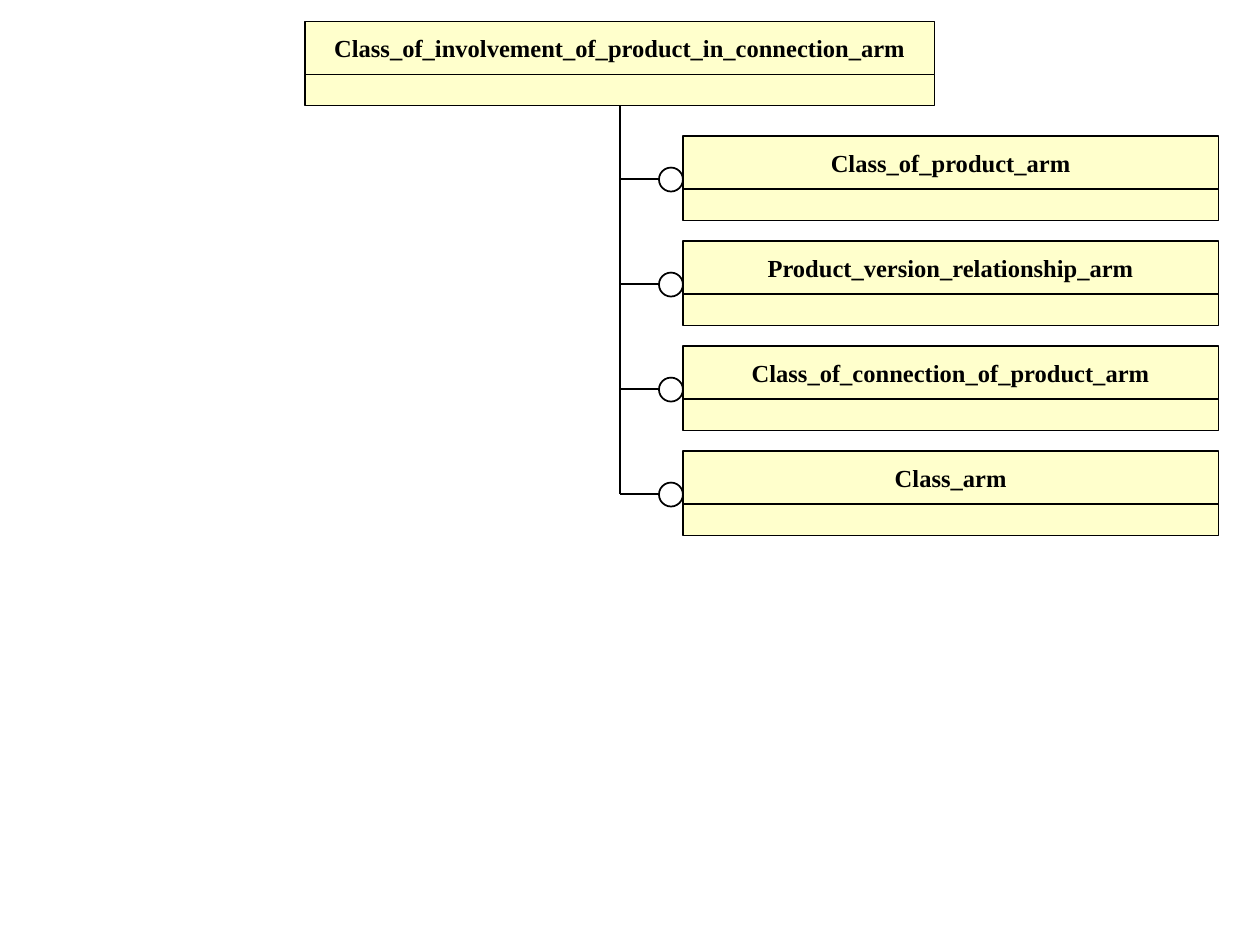
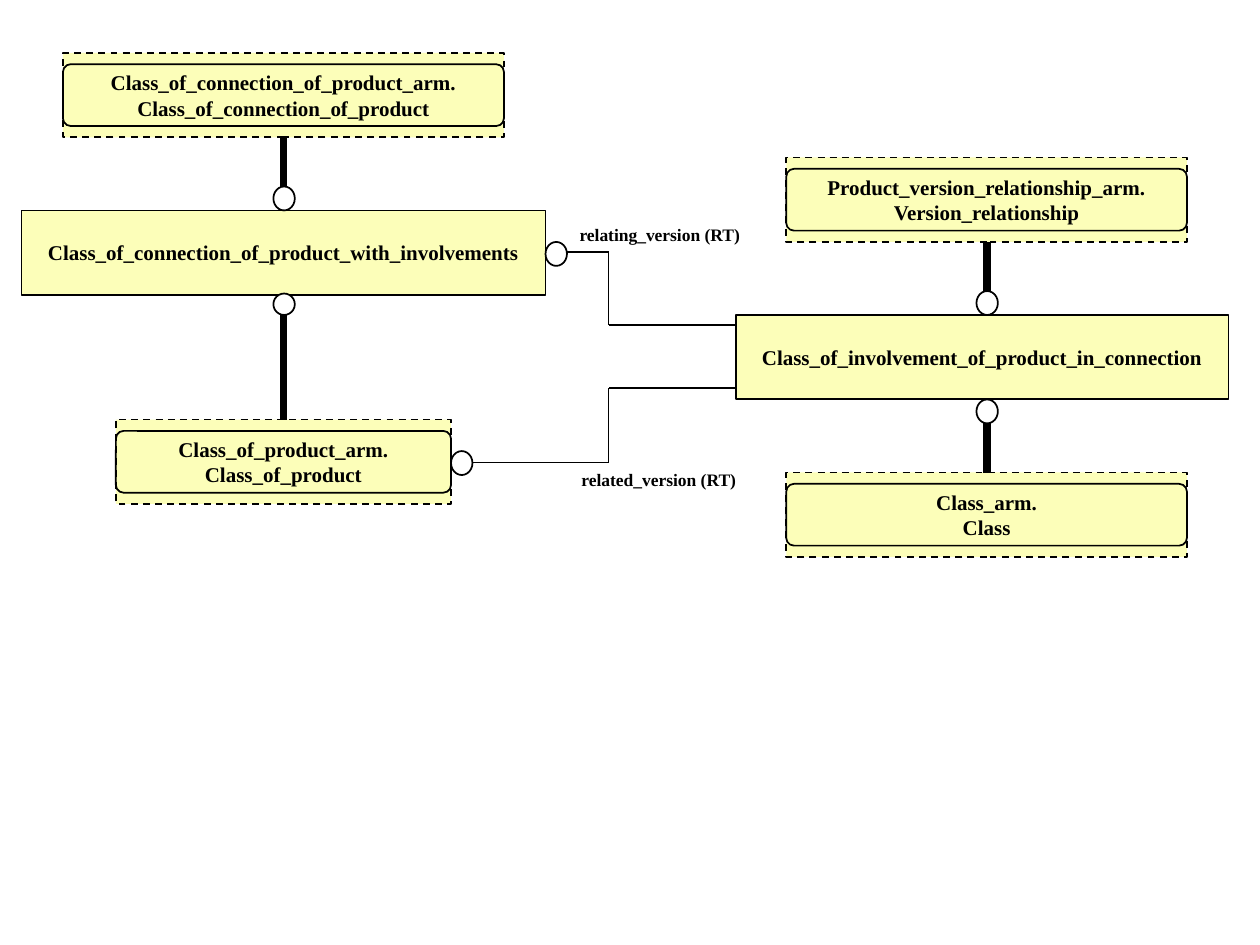
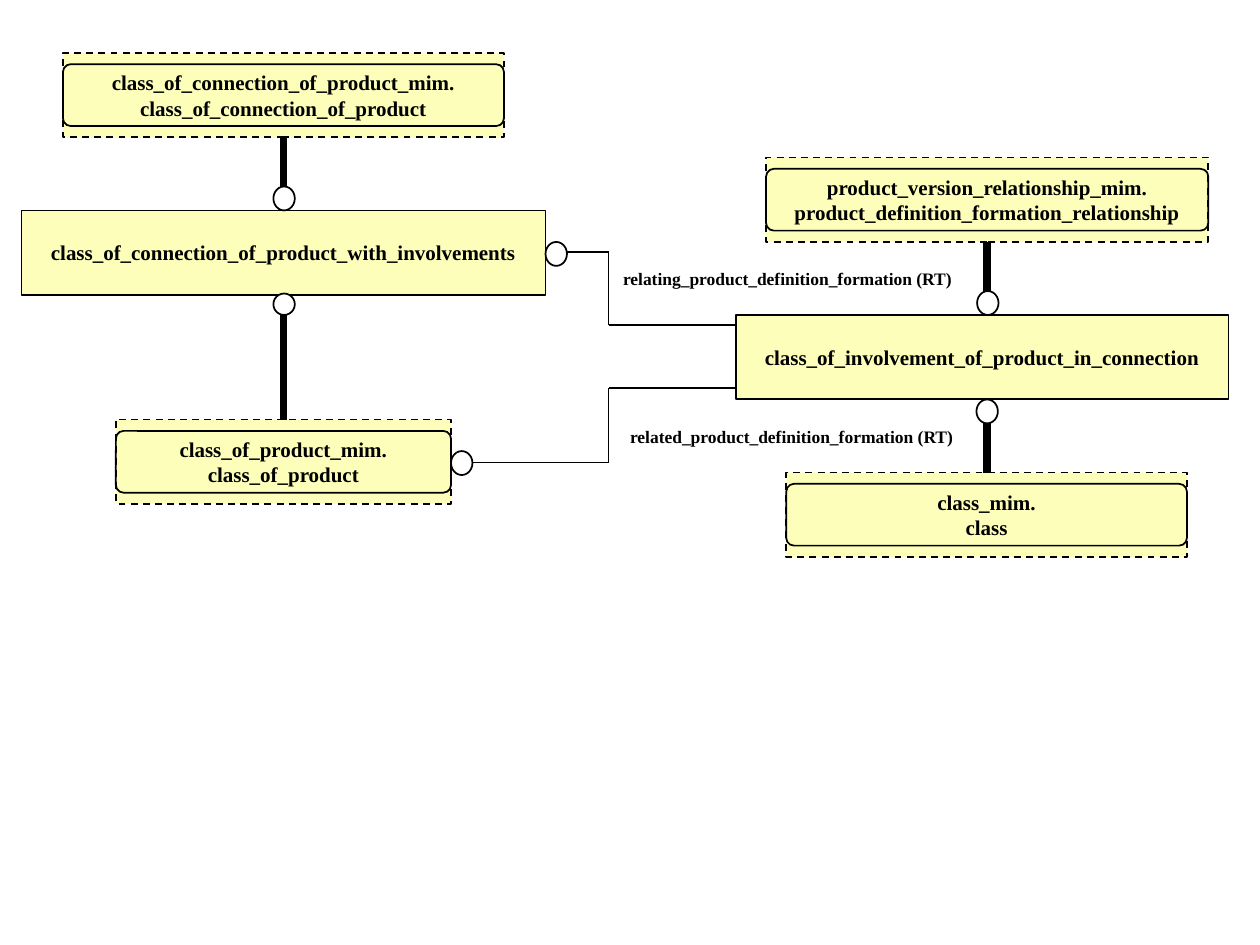
from dataclasses import dataclass
from itertools import pairwise

from lxml.etree import SubElement
from pptx import Presentation
from pptx.dml.color import RGBColor
from pptx.enum.dml import MSO_LINE
from pptx.enum.shapes import MSO_CONNECTOR, MSO_SHAPE
from pptx.enum.text import MSO_ANCHOR, MSO_AUTO_SIZE, PP_ALIGN
from pptx.oxml.ns import qn
from pptx.shapes.autoshape import Shape
from pptx.shapes.connector import Connector
from pptx.shapes.shapetree import GroupShapes, SlideShapes
from pptx.slide import Slide
from pptx.text.text import TextFrame
from pptx.util import Inches, Pt

COLORS = {
    "ink": "000000",
    "paper": "FFFFFF",
    "schema": "FFFFCC",
    "entity": "FCFEB9",
}
FONT = {"name": "Times New Roman", "bold": True}
ENTITY_FRAME = {"vertical_anchor": MSO_ANCHOR.MIDDLE, "word_wrap": False}
ROLE_FRAME = {"vertical_anchor": MSO_ANCHOR.TOP,
              "auto_size": MSO_AUTO_SIZE.SHAPE_TO_FIT_TEXT}
TOP, BOTTOM = 0, 2
Point = tuple[float, float]


@dataclass(frozen=True)
class Area:
    left: float
    top: float
    width: float
    height: float


@dataclass(frozen=True)
class Entity:
    left: float
    top: float
    width: float
    lines: tuple[str, ...]

    @property
    def is_external(self) -> bool:
        return len(self.lines) == 2


@dataclass(frozen=True)
class SubtypeRail:
    """Thick line from one side of an entity to the circle of its subtype."""
    supertype: str
    side: int
    end: float
    circle_top: float
    circle_height: float = 0.19


@dataclass(frozen=True)
class Role:
    area: Area
    text: str
    wraps: bool


@dataclass(frozen=True)
class Diagram:
    entities: dict[str, Entity]
    roles: tuple[Role, ...]


HEADING = "Class_of_involvement_of_product_in_connection_arm"
USED_SCHEMAS = (
    "Class_of_product_arm",
    "Product_version_relationship_arm",
    "Class_of_connection_of_product_arm",
    "Class_arm",
)
DIAGRAMS = (
    Diagram(
        {
            "involvement": Entity(5.84, 2.5, 3.91, (
                "Class_of_involvement_of_product_in_connection",)),
            "version": Entity(6.24, 1.25, 3.18, (
                "Product_version_relationship_arm.", "Version_relationship")),
            "product": Entity(0.92, 3.33, 2.66, (
                "Class_of_product_arm.", "Class_of_product")),
            "connection": Entity(0.5, 0.42, 3.5, (
                "Class_of_connection_of_product_arm.",
                "Class_of_connection_of_product")),
            "with_involvements": Entity(0.17, 1.67, 4.16, (
                "Class_of_connection_of_product_with_involvements",)),
            "class": Entity(6.24, 3.75, 3.18, ("Class_arm.", "Class")),
        },
        (
            Role(Area(3.5, 1.73, 2.47, 0.27), "relating_version (RT)", True),
            Role(Area(4.51, 3.67, 1.43, 0.27), "related_version (RT)", False),
        ),
    ),
    Diagram(
        {
            "involvement": Entity(5.84, 2.5, 3.91, (
                "class_of_involvement_of_product_in_connection",)),
            "version": Entity(6.08, 1.25, 3.51, (
                "product_version_relationship_mim.",
                "product_definition_formation_relationship")),
            "product": Entity(0.92, 3.33, 2.66, (
                "class_of_product_mim.", "class_of_product")),
            "connection": Entity(0.5, 0.42, 3.5, (
                "class_of_connection_of_product_mim.",
                "class_of_connection_of_product")),
            "with_involvements": Entity(0.17, 1.67, 4.16, (
                "class_of_connection_of_product_with_involvements",)),
            "class": Entity(6.24, 3.75, 3.18, ("class_mim.", "class")),
        },
        (
            Role(Area(4.83, 3.33, 2.83, 0.27),
                 "related_product_definition_formation (RT)", True),
            Role(Area(4.84, 2.08, 2.81, 0.27),
                 "relating_product_definition_formation (RT)", False),
        ),
    ),
)
RAILS = (
    SubtypeRail("connection", BOTTOM, 1.5, 1.48),
    SubtypeRail("product", TOP, 2.5, 2.33, 0.17),
    SubtypeRail("version", BOTTOM, 2.33, 2.31),
    SubtypeRail("class", TOP, 3.33, 3.17),
)
ROLE_ROUTES = (
    ((5.83, 2.58), (4.83, 2.58), (4.83, 2), (4.5, 2)),
    ((5.83, 3.08), (4.83, 3.08), (4.83, 3.67), (3.75, 3.67)),
)
ROLE_CIRCLES = (Area(4.33, 1.92, 0.17, 0.19), Area(3.58, 3.58, 0.17, 0.19))


def color(key: str) -> RGBColor:
    return RGBColor.from_string(COLORS[key])


def add_outline(shapes: SlideShapes | GroupShapes, preset: MSO_SHAPE, area: Area,
                fill: str | None, weight: float = 1) -> Shape:
    """Add a black-edged preset shape; without a fill it is see-through."""
    outline = shapes.add_shape(preset, Inches(area.left), Inches(area.top),
                               Inches(area.width), Inches(area.height))
    outline.shadow.inherit = False
    if fill:
        outline.fill.solid()
        outline.fill.fore_color.rgb = color(fill)
    else:
        outline.fill.background()
    outline.line.color.rgb = color("ink")
    outline.line.width = Pt(weight)
    return outline


def add_line(slide: Slide, start: Point, end: Point, weight: float = 1) -> Connector:
    line = slide.shapes.add_connector(
        MSO_CONNECTOR.STRAIGHT, *(Inches(length) for length in (*start, *end)))
    line.line.color.rgb = color("ink")
    line.line.width = Pt(weight)
    SubElement(line._element.spPr, qn("a:effectLst"))
    return line


def write(frame: TextFrame, lines: tuple[str, ...], size: float,
          alignment: PP_ALIGN, frame_format: dict) -> None:
    for attribute, value in frame_format.items():
        setattr(frame, attribute, value)
    frame.text = "\n".join(lines)
    for paragraph in frame.paragraphs:
        paragraph.alignment = alignment
        for run in paragraph.runs:
            for attribute, value in (FONT | {"size": Pt(size)}).items():
                setattr(run.font, attribute, value)
            run.font.color.rgb = color("ink")


def add_circle(slide: Slide, area: Area) -> None:
    add_outline(slide.shapes, MSO_SHAPE.OVAL, area, "paper")


def add_schema(slide: Slide, left: float, top: float, width: float, name: str) -> Shape:
    """Draw a schema's title and body compartments and return the body."""
    parts = slide.shapes.add_group_shape().shapes
    title = add_outline(parts, MSO_SHAPE.RECTANGLE,
                        Area(left, top, width, 0.42), "schema", 0.75)
    write(title.text_frame, (name,), 14, PP_ALIGN.CENTER, ENTITY_FRAME)
    return add_outline(parts, MSO_SHAPE.RECTANGLE,
                       Area(left, top + 0.42, width, 0.25), "schema", 0.75)


def add_entity(slide: Slide, entity: Entity) -> Shape:
    """Draw an entity; one from another schema gets a dashed edge and inner frame."""
    shapes = slide.shapes
    if entity.is_external:
        shapes = shapes.add_group_shape().shapes
    box = add_outline(shapes, MSO_SHAPE.RECTANGLE,
                      Area(entity.left, entity.top, entity.width, 0.67), "entity")
    write(box.text_frame, entity.lines, 12, PP_ALIGN.CENTER, ENTITY_FRAME)
    if entity.is_external:
        box.line.dash_style = MSO_LINE.DASH
        inner = add_outline(shapes, MSO_SHAPE.ROUNDED_RECTANGLE,
                            Area(entity.left, entity.top + 0.09, entity.width, 0.49),
                            None)
        inner.adjustments[0] = 0.125
    return box


def add_rail(slide: Slide, rail: SubtypeRail, entity: Entity, box: Shape) -> None:
    center = entity.left + entity.width / 2
    line = add_line(slide, (center, entity.top), (center, rail.end), 4.5)
    line.begin_connect(box, rail.side)
    add_circle(slide, Area(center - 0.08, rail.circle_top, 0.17, rail.circle_height))


def add_role(slide: Slide, role: Role) -> None:
    area = role.area
    label = slide.shapes.add_textbox(Inches(area.left), Inches(area.top),
                                     Inches(area.width), Inches(area.height))
    write(label.text_frame, (role.text,), 10, PP_ALIGN.RIGHT,
          ROLE_FRAME | {"word_wrap": role.wraps})


def draw_schema_tree(slide: Slide) -> None:
    trunk_x, schema_left, first_top, pitch = 4.92, 5.42, 1.08, 2.5 / 3
    heading_body = add_schema(slide, 2.42, 0.17, 5, HEADING)
    tops = [first_top + row * pitch for row in range(len(USED_SCHEMAS))]
    trunk = add_line(slide, (trunk_x, tops[-1] + 0.34), (trunk_x, 0.83), 0.75)
    trunk.end_connect(heading_body, BOTTOM)
    for top, name in zip(tops, USED_SCHEMAS):
        add_schema(slide, schema_left, top, 4.25, name)
        add_line(slide, (trunk_x, top + 0.34), (5.25, top + 0.34), 0.75)
        add_circle(slide, Area(5.23, top + 0.25, 0.19, 0.19))


def draw_entity_diagram(slide: Slide, diagram: Diagram) -> None:
    boxes = {key: add_entity(slide, entity) for key, entity in diagram.entities.items()}
    for rail in RAILS:
        add_rail(slide, rail, diagram.entities[rail.supertype], boxes[rail.supertype])
    for route, circle in zip(ROLE_ROUTES, ROLE_CIRCLES):
        for start, end in pairwise(route):
            add_line(slide, start, end)
        add_circle(slide, circle)
    for role in diagram.roles:
        add_role(slide, role)


def main() -> None:
    presentation = Presentation()
    presentation.slide_width = Inches(10)
    presentation.slide_height = Inches(7.5)
    blank = presentation.slide_layouts[6]
    draw_schema_tree(presentation.slides.add_slide(blank))
    for diagram in DIAGRAMS:
        draw_entity_diagram(presentation.slides.add_slide(blank), diagram)
    presentation.save("out.pptx")


if __name__ == "__main__":
    main()
